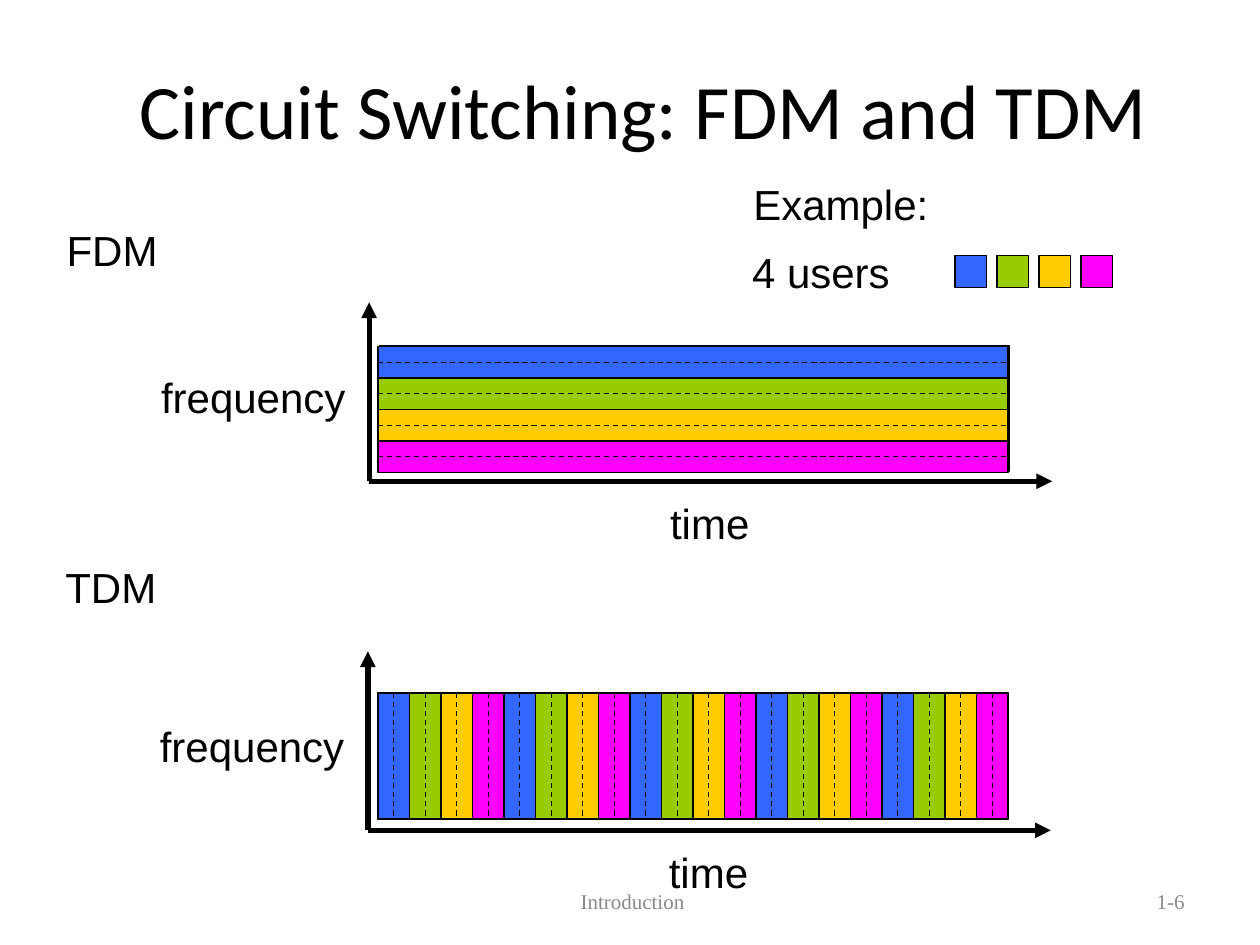
from dataclasses import dataclass

import pptx
import pptx.dml.color
import pptx.enum.dml
import pptx.enum.shapes
import pptx.enum.text
import pptx.oxml.ns
import pptx.util

RGBColor = pptx.dml.color.RGBColor
Align = pptx.enum.text.PP_ALIGN
Anchor = pptx.enum.text.MSO_ANCHOR
AutoSize = pptx.enum.text.MSO_AUTO_SIZE

BLACK = RGBColor(0x00, 0x00, 0x00)
GRAY = RGBColor(0x89, 0x89, 0x89)
LINK_BLUE = RGBColor(0x4F, 0x81, 0xBD)
USER_COLORS = (
    RGBColor(0x33, 0x66, 0xFF),
    RGBColor(0x99, 0xCC, 0x00),
    RGBColor(0xFF, 0xCC, 0x00),
    RGBColor(0xFF, 0x00, 0xFF),
)
CM_PER_INCH = 2.54
CHANNEL = 0.25  # thickness of one band or slot, inches
LINK_LEFT, LINK_WIDTH, LINK_HEIGHT = 3, 5, 1
USER_PITCH = CHANNEL * 4 / 3


@dataclass(frozen=True)
class Box:
    left: float
    top: float
    width: float
    height: float


@dataclass(frozen=True)
class Label:
    text: str
    box: Box
    size: int = 24
    font: str = "Arial"
    color: RGBColor = BLACK
    align: Align = Align.LEFT
    fixed: bool = False


@dataclass(frozen=True)
class Multiplexing:
    name: str
    name_top: float
    origin_x: float
    origin_y: float
    link: Box
    channels: int
    horizontal: bool


def length(inches: float) -> pptx.util.Length:
    return pptx.util.Cm(inches * CM_PER_INCH)


def place(box: Box) -> tuple:
    return tuple(map(length, (box.left, box.top, box.width, box.height)))


def apply(target, formats: dict) -> None:
    for attribute, value in formats.items():
        setattr(target, attribute, value)


def add_label(slide, label: Label) -> None:
    frame = slide.shapes.add_textbox(*place(label.box)).text_frame
    apply(frame, {
        "word_wrap": label.fixed,
        "auto_size": AutoSize.NONE if label.fixed else AutoSize.SHAPE_TO_FIT_TEXT,
        "vertical_anchor": Anchor.MIDDLE if label.fixed else Anchor.TOP,
    })
    paragraph = frame.paragraphs[0]
    paragraph.alignment = label.align
    run = paragraph.add_run()
    run.text = label.text
    apply(run.font, {"name": label.font, "size": pptx.util.Pt(label.size)})
    run.font.color.rgb = label.color


def add_rectangle(slide, box: Box, color: RGBColor):
    rectangle = slide.shapes.add_shape(
        pptx.enum.shapes.MSO_SHAPE.RECTANGLE, *place(box))
    rectangle.shadow.inherit = False
    rectangle.fill.solid()
    rectangle.fill.fore_color.rgb = color
    rectangle.line.color.rgb = BLACK
    rectangle.line.width = pptx.util.Pt(0.75)
    return rectangle


def add_line(slide, x1: float, y1: float, x2: float, y2: float, width: float = 0.75):
    line = slide.shapes.add_connector(
        pptx.enum.shapes.MSO_CONNECTOR.STRAIGHT, *map(length, (x1, y1, x2, y2)))
    line.line.color.rgb = BLACK
    line.line.width = pptx.util.Pt(width)
    properties = line._element.spPr
    properties.append(properties.makeelement(pptx.oxml.ns.qn("a:effectLst"), {}))
    return line


def add_axis(slide, x1: float, y1: float, x2: float, y2: float) -> None:
    outline = add_line(slide, x1, y1, x2, y2, width=3).line._get_or_add_ln()
    outline.append(outline.makeelement(
        pptx.oxml.ns.qn("a:tailEnd"), {"type": "triangle"}))


def add_center_line(slide, channel, horizontal: bool) -> None:
    """Dash the channel lengthwise, joined to the middles of its short sides."""
    first, last = (1, 3) if horizontal else (0, 2)
    dashes = add_line(slide, 0, 0, 0, 0)
    dashes.begin_connect(channel, first)
    dashes.end_connect(channel, last)
    dashes.line.dash_style = pptx.enum.dml.MSO_LINE.DASH


def add_multiplexing(slide, diagram: Multiplexing) -> None:
    x, y = diagram.origin_x, diagram.origin_y
    for label in (
        Label(diagram.name, Box(x - 2.5, diagram.name_top, 0.92, 0.5)),
        Label("frequency", Box(x - 1.75, y - 0.92, 1.69, 0.5)),
        Label("time", Box(x + 2.29, y + 0.08, 0.83, 0.5)),
    ):
        add_label(slide, label)
    add_axis(slide, x, y, x, y - 1.42)
    add_axis(slide, x, y, x + 5.42, y)
    add_rectangle(slide, diagram.link, LINK_BLUE)

    top = round(diagram.link.top * 4) / 4  # channels sit on the quarter-inch grid
    right, bottom = LINK_LEFT + LINK_WIDTH, top + LINK_HEIGHT
    channels = []
    for index in range(diagram.channels):
        offset = index * CHANNEL
        if diagram.horizontal:
            box = Box(LINK_LEFT, top + offset, LINK_WIDTH, CHANNEL)
        else:
            box = Box(LINK_LEFT + offset, top, CHANNEL, LINK_HEIGHT)
        color = USER_COLORS[index % len(USER_COLORS)]
        channels.append(add_rectangle(slide, box, color))
    for index in range(1, diagram.channels):
        offset = index * CHANNEL
        if diagram.horizontal:
            add_line(slide, LINK_LEFT, top + offset, right, top + offset)
        else:
            add_line(slide, LINK_LEFT + offset, top, LINK_LEFT + offset, bottom)
    for channel in channels:
        add_center_line(slide, channel, diagram.horizontal)


def add_title(slide, text: str, box: Box) -> None:
    title = slide.shapes.title
    apply(title, dict(zip(("left", "top", "width", "height"), place(box))))
    title.text_frame.text = text
    title.text_frame.vertical_anchor = Anchor.MIDDLE
    paragraph = title.text_frame.paragraphs[0]
    paragraph.alignment = Align.CENTER
    font = paragraph.runs[0].font
    apply(font, {"name": "Calibri", "size": pptx.util.Pt(44)})
    font.color.rgb = BLACK


def main() -> None:
    presentation = pptx.Presentation()
    apply(presentation, {"slide_width": length(10), "slide_height": length(7.5)})
    slide = presentation.slides.add_slide(presentation.slide_layouts[5])
    add_title(slide, "Circuit Switching: FDM and TDM", Box(0.48, 0.24, 9.26, 1.25))

    footer = {"size": 12, "font": "Times New Roman", "color": GRAY, "fixed": True}
    for label in (
        Label(" Introduction", Box(3.42, 6.95, 3.16, 0.4), align=Align.CENTER, **footer),
        Label("1-6", Box(7.17, 6.95, 2.33, 0.4), align=Align.RIGHT, **footer),
        Label("Example:", Box(5.88, 1.37, 1.59, 0.5)),
        Label("4 users", Box(5.87, 1.91, 1.29, 0.5)),
    ):
        add_label(slide, label)
    for index, color in enumerate(USER_COLORS):
        left = 7.58 + index * USER_PITCH
        add_rectangle(slide, Box(left, 2.03, CHANNEL, CHANNEL), color)

    for diagram in (
        Multiplexing("FDM", 1.73, 2.93, 3.82,
                     Box(3.01, 2.74, LINK_WIDTH, LINK_HEIGHT), 4, True),
        Multiplexing("TDM", 4.41, 2.92, 6.59,
                     Box(LINK_LEFT, 5.5, LINK_WIDTH, LINK_HEIGHT), 20, False),
    ):
        add_multiplexing(slide, diagram)
    presentation.save("out.pptx")


if __name__ == "__main__":
    main()
